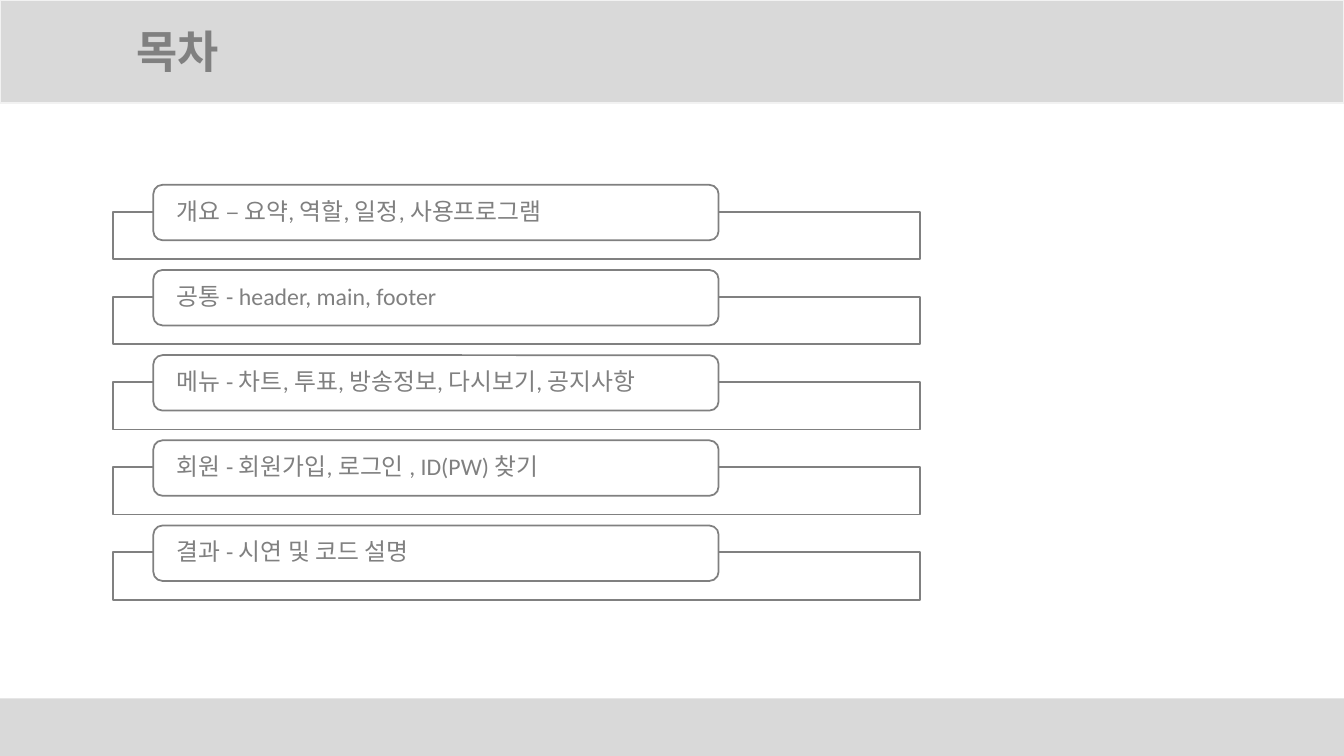
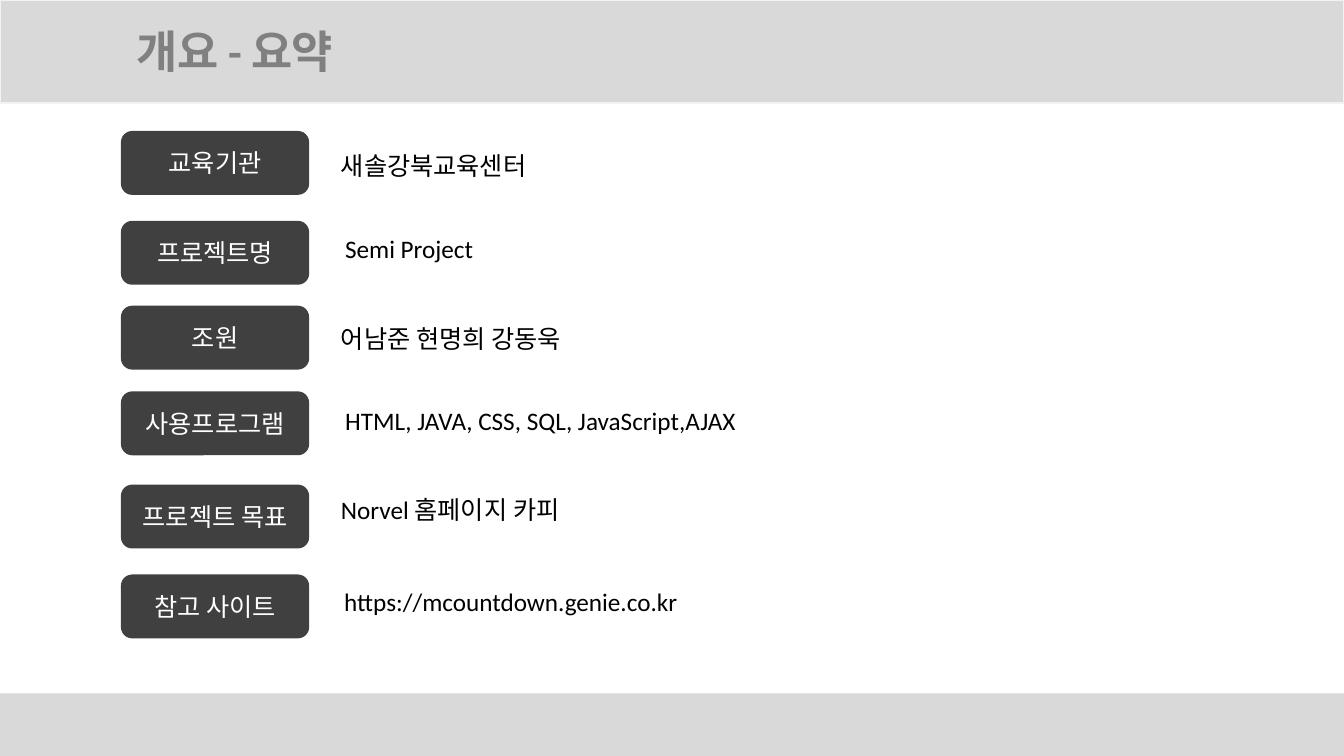
from pptx import Presentation
from pptx import util as u
from pptx.dml.color import RGBColor
from pptx.enum import shapes, text

COLS, ROWS = 160, 90
CELL = u.Inches(1) // 12
TITLE_ONLY = 5
BAND, EDGE, GRAY, DARK = "D9D9D9", "F2F2F2", "808080", "404040"
WHITE, BLACK = "FFFFFF", "000000"
RECT = shapes.MSO_SHAPE.RECTANGLE
ROUND = shapes.MSO_SHAPE.ROUNDED_RECTANGLE
LEFT, CENTER = text.PP_ALIGN.LEFT, text.PP_ALIGN.CENTER


def rgb(value):
    return RGBColor.from_string(value)


def grid(*cells):
    return [u.Emu(round(c * CELL)) for c in cells]


def write(sp, words, size=18, color=BLACK, bold=False, align=LEFT, spacing=1.0,
          tracking=0, insets=(1.2, 0.6, 1.2, 0.6)):
    """Put one formatted paragraph in a shape; insets are left, top, right, bottom."""
    tf = sp.text_frame
    tf.auto_size = text.MSO_AUTO_SIZE.NONE
    tf.word_wrap = True
    tf.vertical_anchor = text.MSO_ANCHOR.MIDDLE
    (tf.margin_left, tf.margin_top,
     tf.margin_right, tf.margin_bottom) = grid(*insets)
    p = tf.paragraphs[0]
    p.alignment, p.line_spacing = align, spacing
    r = p.add_run()
    r.text = words
    r.font.name, r.font.size, r.font.bold = "Calibri", u.Pt(size), bold
    r.font.color.rgb = rgb(color)
    if tracking:
        r.font._element.set("spc", str(round(tracking * 100)))


class Deck:
    def __init__(self):
        self.prs = Presentation()
        self.prs.slide_width, self.prs.slide_height = grid(COLS, ROWS)
        self.s = None

    def paint(self, sp, fill, line=None, weight=1.25):
        sp.fill.solid()
        sp.fill.fore_color.rgb = rgb(fill)
        if line:
            sp.line.color.rgb = rgb(line)
            sp.line.width = u.Pt(weight)
        else:
            sp.line.fill.background()

    def slide(self, title, footer_top):
        """Start a slide with its title band and footer band."""
        self.s = self.prs.slides.add_slide(self.prs.slide_layouts[TITLE_ONLY])
        sp = self.s.shapes.title
        sp.left, sp.top, sp.width, sp.height = grid(0, 0, COLS, 12.25)
        self.paint(sp, BAND, EDGE, 1)
        write(sp, title, size=32, color=GRAY, bold=True, spacing=0.9,
              tracking=-0.5, insets=(16.3, 1.2, 1.2, 0.6))
        self.box(RECT, 0, footer_top, COLS, ROWS - footer_top, BAND)

    def box(self, kind, x, y, w, h, fill, line=None):
        sp = self.s.shapes.add_shape(kind, *grid(x, y, w, h))
        sp.shadow.inherit = False
        self.paint(sp, fill, line)
        return sp

    def agenda_item(self, y, words):
        """A long frame with a rounded heading over its upper edge."""
        self.box(RECT, 13.45, y + 3.2, 96.1, 5.65, WHITE, GRAY)
        sp = self.box(ROUND, 18.25, y, 67.3, 6.6, WHITE, GRAY)
        write(sp, words, size=17, color=GRAY, spacing=0.9,
              insets=(2.5, 0, 1.2, 0))

    def label(self, y, words):
        sp = self.box(ROUND, 14.5, y, 22.2, 7.4, DARK, DARK)
        write(sp, words, color=WHITE, align=CENTER)

    def value(self, x, y, words):
        write(self.s.shapes.add_textbox(*grid(x, y, 76, 7.4)), words)


def main():
    deck = Deck()

    # Contents
    deck.slide("목차", footer_top=83.15)
    agenda = [
        "개요 – 요약, 역할, 일정, 사용프로그램",
        "공통 - header, main, footer",
        "메뉴 - 차트, 투표, 방송정보, 다시보기, 공지사항",
        "회원 - 회원가입, 로그인 , ID(PW) 찾기",
        "결과 - 시연 및 코드 설명",
    ]
    for i, words in enumerate(agenda):
        deck.agenda_item(22 + 10.14 * i, words)

    # Summary: label top, label, value left, value top, value
    deck.slide("개요 - 요약", footer_top=82.55)
    summary = [
        (15.7, "교육기관", 39.4, 16, "새솔강북교육센터"),
        (26.4, "프로젝트명", 39.9, 25.9, "Semi Project"),
        (36.5, "조원", 39.4, 36.6, "어남준 현명희 강동욱"),
        (46.7, "사용프로그램", 39.9, 46.3, "HTML, JAVA, CSS, SQL, JavaScript,AJAX"),
        (57.8, "프로젝트 목표", 39.4, 57, "Norvel 홈페이지 카피"),
        (68.5, "참고 사이트", 39.8, 67.9, "https://mcountdown.genie.co.kr"),
    ]
    for label_y, name, x, y, words in summary:
        deck.label(label_y, name)
        deck.value(x, y, words)

    deck.prs.save("out.pptx")


if __name__ == "__main__":
    main()
